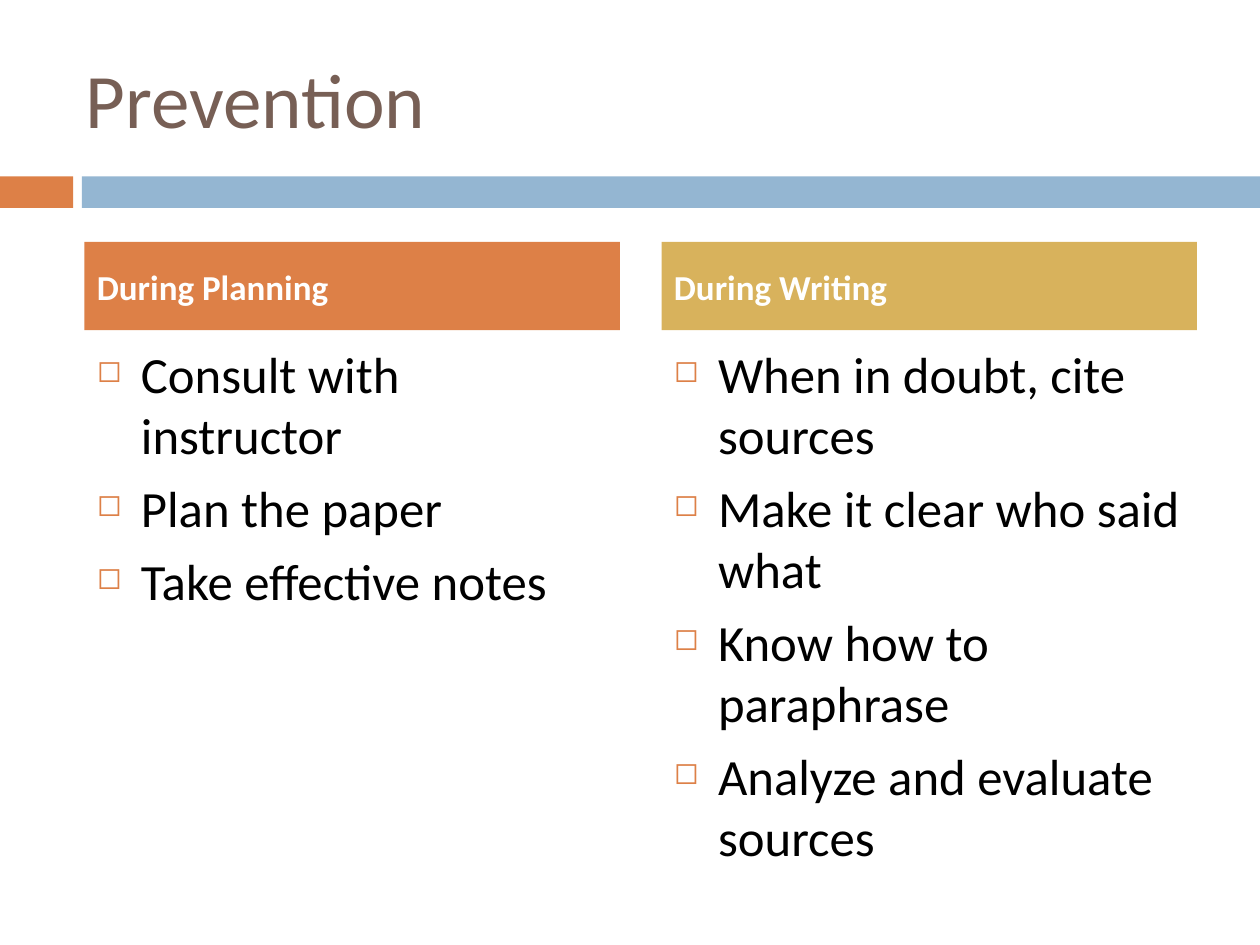
import dataclasses

import pptx
import pptx.dml.color
import pptx.enum.shapes
import pptx.enum.text
import pptx.oxml
import pptx.oxml.ns
import pptx.util

Inches = pptx.util.Inches
Pt = pptx.util.Pt
ANCHOR = pptx.enum.text.MSO_ANCHOR


@dataclasses.dataclass(frozen=True)
class Theme:
    face: str = "Calibri"
    brown: str = "775F55"
    orange: str = "DD8047"
    blue: str = "94B6D2"
    gold: str = "D8B25C"
    white: str = "FFFFFF"
    black: str = "000000"
    title: int = 44
    head: int = 20
    body: int = 29


THEME = Theme()
COLUMNS = [
    ("During Planning", THEME.orange,
     ["Consult with instructor", "Plan the paper", "Take effective notes"]),
    ("During Writing", THEME.gold,
     ["When in doubt, cite sources", "Make it clear who said what",
      "Know how to paraphrase", "Analyze and evaluate sources"]),
]


def color(code):
    return pptx.dml.color.RGBColor.from_string(code)


def write(frame, lines, size, code, anchor, bold=False, gap=0):
    frame.word_wrap = True
    frame.vertical_anchor = anchor
    look = {"name": THEME.face, "size": Pt(size), "bold": bold}
    for i, line in enumerate(lines):
        para = frame.add_paragraph() if i else frame.paragraphs[0]
        para.alignment = pptx.enum.text.PP_ALIGN.LEFT
        para.space_before = Pt(gap)
        run = para.add_run()
        run.text = line
        for key, value in look.items():
            setattr(run.font, key, value)
        run.font.color.rgb = color(code)


def bullet(para):
    props = para._p.get_or_add_pPr()
    props.set("marL", str(Inches(0.35)))
    props.set("indent", str(Inches(-0.35)))
    space = pptx.oxml.ns.nsdecls("a")
    for xml in (
        f'<a:buClr {space}><a:srgbClr val="{THEME.orange}"/></a:buClr>',
        f'<a:buSzPct {space} val="60000"/>',
        f'<a:buChar {space} char="◻"/>',
    ):
        props.append(pptx.oxml.parse_xml(xml))


def block(slide, box, code):
    shape = slide.shapes.add_shape(pptx.enum.shapes.MSO_SHAPE.RECTANGLE, *box)
    shape.shadow.inherit = False
    shape.fill.solid()
    shape.fill.fore_color.rgb = color(code)
    shape.line.fill.background()
    return shape


def band(slide, left, top, width, height):
    """Draw the short and long bars under the title."""
    short, start = Inches(0.58), Inches(0.65)
    block(slide, (left, top, short, height), THEME.orange)
    block(slide, (left + start, top, width - start, height), THEME.blue)


def heading(slide, text, *box):
    title = slide.shapes.title
    for key, value in zip(("left", "top", "width", "height"), box):
        setattr(title, key, value)
    write(title.text_frame, [text], THEME.title, THEME.brown, ANCHOR.MIDDLE)


def column(slide, name, code, items, left, top, width, height):
    """Place a filled header with its bullet list below."""
    head, step = Inches(0.7), Inches(0.75)
    label = block(slide, (left, top, width, head), code)
    write(label.text_frame, [name], THEME.head, THEME.white, ANCHOR.MIDDLE,
          bold=True, gap=7)
    body = slide.shapes.add_textbox(left, top + step, width, height - step)
    write(body.text_frame, items, THEME.body, THEME.black, ANCHOR.TOP, gap=7)
    for para in body.text_frame.paragraphs:
        bullet(para)


def main():
    deck = pptx.Presentation()
    deck.slide_width, deck.slide_height = Inches(10), Inches(7.5)
    slide = deck.slides.add_slide(deck.slide_layouts[5])
    band(slide, 0, Inches(1.4), deck.slide_width, Inches(0.25))
    heading(slide, "Prevention",
            Inches(0.58), Inches(0.3), Inches(8.92), Inches(0.95))
    for i, (name, code, items) in enumerate(COLUMNS):
        column(slide, name, code, items, Inches(0.67 + i * 4.58),
               Inches(1.92), Inches(4.25), Inches(4.67))
    deck.save("out.pptx")


if __name__ == "__main__":
    main()
